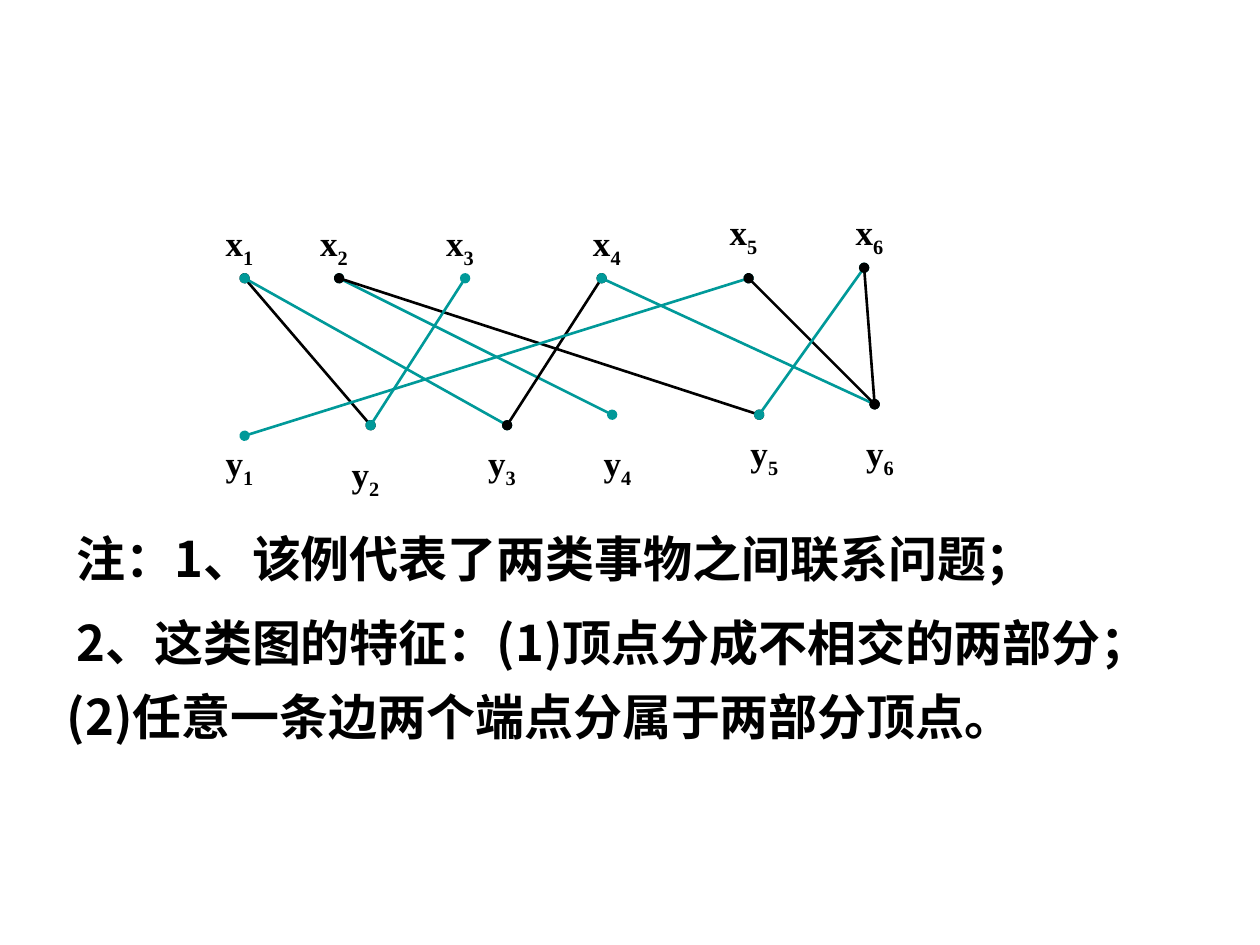
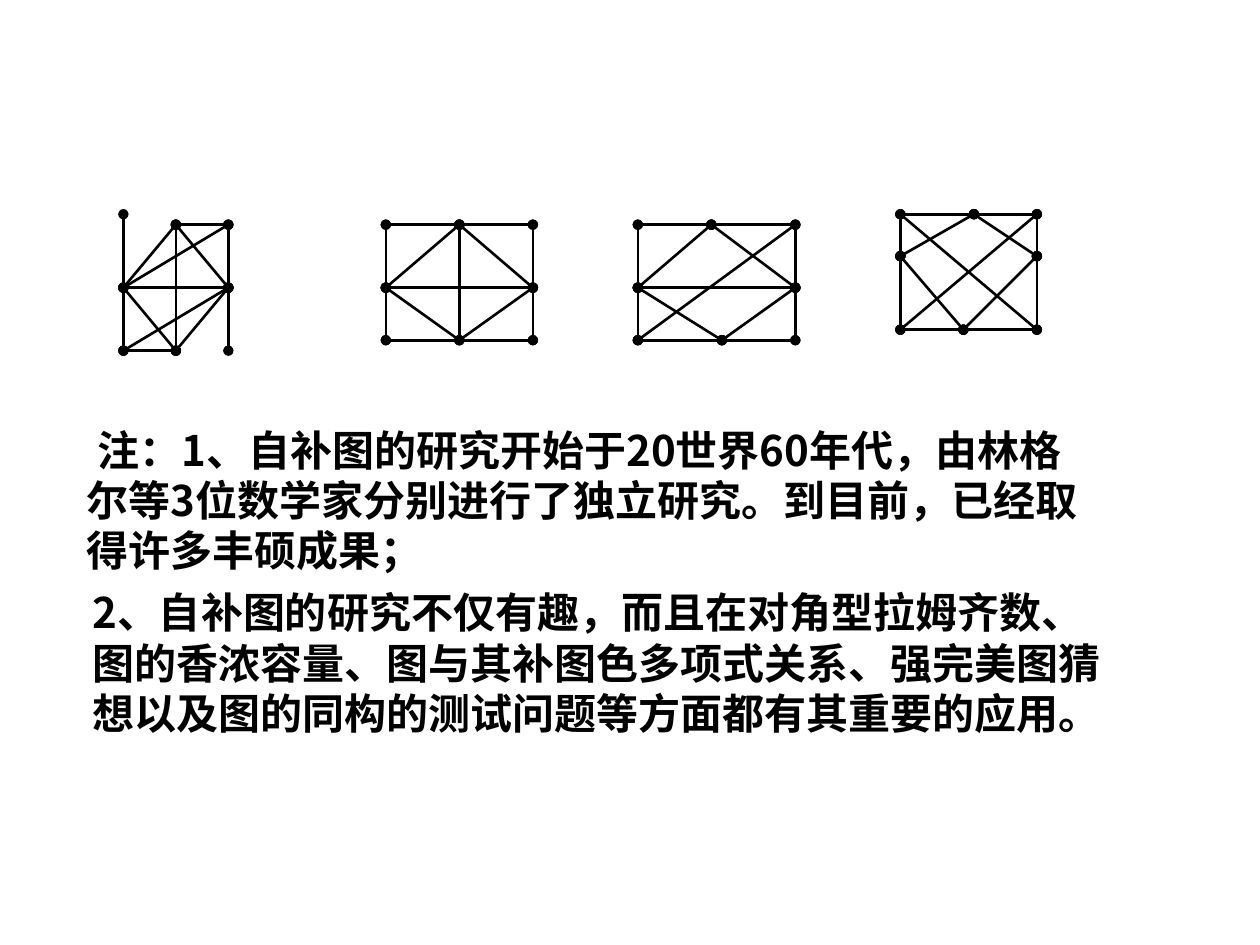
import pptx
import pptx.dml.color
import pptx.enum.shapes
import pptx.enum.text
import pptx.oxml
import pptx.oxml.ns
import pptx.util

BLACK = pptx.dml.color.RGBColor(0x00, 0x00, 0x00)
TEAL = pptx.dml.color.RGBColor(0x00, 0x99, 0x99)
LATIN_FONT = "Times New Roman"
CHINESE_FONT = "Noto Sans CJK SC"
CELL = pptx.util.Inches(1) // 12  # the slide is 120 columns by 90 rows
LINE_HEIGHT = 1.2

# name: (vertex column, vertex row, label column shift, label row shift)
BIPARTITE_VERTICES = {
    "x1": (0, 1, -3, -6), "x2": (9, 1, -3, -6), "x3": (21, 1, -3, -6),
    "x4": (34, 1, -2, -6), "x5": (48, 1, -3, -7), "x6": (59, 0, -2, -6),
    "y1": (0, 16, -3, 0), "y2": (12, 15, -3, 2), "y3": (25, 15, -3, 1),
    "y4": (35, 14, -2, 2), "y5": (49, 14, -2, 1), "y6": (60, 13, -2, 2),
}
BIPARTITE_EDGES = [
    ("x1", "y2", BLACK), ("x1", "y3", TEAL), ("x2", "y4", TEAL),
    ("x2", "y5", BLACK), ("x3", "y2", TEAL), ("x4", "y3", BLACK),
    ("x4", "y6", TEAL), ("x5", "y1", TEAL), ("x5", "y6", BLACK),
    ("x6", "y5", TEAL), ("x6", "y6", BLACK),
]

# Vertices a to h run along the top, middle and bottom of each graph.
# (first column, vertices, edges)
SELF_COMPLEMENTARY_GRAPHS = [
    (0, [(0, 0), (5, 1), (10, 1), (0, 7), (10, 7), (0, 13), (5, 13), (10, 13)],
     "ad de ec bc bg fg df eh bd cd be dg fe eg"),
    (25, [(0, 1), (7, 1), (14, 1), (0, 7), (14, 7), (0, 12), (7, 12), (14, 12)],
     "ab bc ad de ce df fh eh bg bd be dg eg"),
    (49, [(0, 1), (7, 1), (15, 1), (0, 7), (15, 7), (0, 12), (8, 12), (15, 12)],
     "ad ab bc ce de df fg gh eh bd be dg eg cf"),
    (74, [(0, 0), (7, 0), (13, 0), (0, 4), (13, 4), (0, 11), (6, 11), (13, 11)],
     "ab bc ad df fg ce eh gh bd be dg eg cf ah"),
]


def cells(*counts):
    return [round(count * CELL) for count in counts]


def add_child(parent, tag, **attributes):
    child = pptx.oxml.parse_xml(f"<a:{tag} {pptx.oxml.ns.nsdecls('a')}/>")
    for name, value in attributes.items():
        child.set(name, value)
    parent.append(child)


def add_edge(page, start, end, color):
    """Draw a line with a round vertex at both ends."""
    edge = page.shapes.add_connector(
        pptx.enum.shapes.MSO_CONNECTOR.STRAIGHT, *cells(*start, *end))
    edge.line.width = pptx.util.Pt(1.5)
    edge.line.color.rgb = color
    for tag in ("headEnd", "tailEnd"):
        add_child(edge.line._get_or_add_ln(), tag, type="oval")
    add_child(edge._element.spPr, "effectLst")


def add_text(page, box, spans, size, font):
    """Add one bold paragraph made of spans and return it with its frame."""
    frame = page.shapes.add_textbox(*cells(*box)).text_frame
    frame.word_wrap = True
    para = frame.paragraphs[0]
    for text in spans:
        para.add_run().text = text
    para.font.size = pptx.util.Pt(size)
    para.font.bold = True
    para.font.name = font
    para.font.color.rgb = BLACK
    add_child(para.font._element, "ea", typeface=CHINESE_FONT)
    return frame, para


def add_note(page, box, text, size, first_indent=0):
    frame, para = add_text(page, box, [text], size, CHINESE_FONT)
    frame.vertical_anchor = pptx.enum.text.MSO_ANCHOR.MIDDLE
    para.line_spacing = pptx.util.Pt(size * LINE_HEIGHT)
    if first_indent:
        properties = para._p.get_or_add_pPr()
        properties.set("marL", "0")
        properties.set("indent", str(cells(first_indent)[0]))


def add_bipartite_graph(page, left, top):
    places = {name: (left + column, top + row)
              for name, (column, row, _, _) in BIPARTITE_VERTICES.items()}
    for start, end, color in BIPARTITE_EDGES:
        add_edge(page, places[start], places[end], color)
    for name, (_, _, shift_x, shift_y) in BIPARTITE_VERTICES.items():
        column, row = places[name]
        _, para = add_text(page, (column + shift_x, row + shift_y, 7, 5.8),
                           name, 20, LATIN_FONT)
        para.runs[1]._r.get_or_add_rPr().set("baseline", "-25000")


def add_self_complementary_graph(page, left, top, vertices, edges):
    places = {name: (left + column, top + row)
              for name, (column, row) in zip("abcdefgh", vertices)}
    for start, end in edges.split():
        add_edge(page, places[start], places[end], BLACK)


def build_bipartite_page(page):
    add_bipartite_graph(page, 23.3, 25.5)
    for left, top, text in [
        (6.1, 49.7, "注：1、该例代表了两类事物之间联系问题；"),
        (6.1, 57.7, "2、这类图的特征：(1)顶点分成不相交的两部分；"),
        (5.2, 64.8, "(2)任意一条边两个端点分属于两部分顶点。"),
    ]:
        add_note(page, (left, top, 109, 6.8), text, 28)


def build_self_complementary_page(page):
    for column, vertices, edges in SELF_COMPLEMENTARY_GRAPHS:
        add_self_complementary_graph(page, 11.75 + column, 20.4, vertices, edges)
    add_note(page, (7.1, 39.8, 99, 15.6),
             "注：1、自补图的研究开始于20世界60年代，由林格尔等3位数学家分别进行了"
             "独立研究。到目前，已经取得许多丰硕成果；", 24, first_indent=1)
    add_note(page, (7.6, 55.3, 99, 15.6),
             "2、自补图的研究不仅有趣，而且在对角型拉姆齐数、图的香浓容量、图与其补图"
             "色多项式关系、强完美图猜想以及图的同构的测试问题等方面都有其重要的应用。", 24)


def main():
    deck = pptx.Presentation()
    deck.slide_width, deck.slide_height = cells(120, 90)
    for build_page in (build_bipartite_page, build_self_complementary_page):
        build_page(deck.slides.add_slide(deck.slide_layouts[6]))
    deck.save("out.pptx")


if __name__ == "__main__":
    main()
